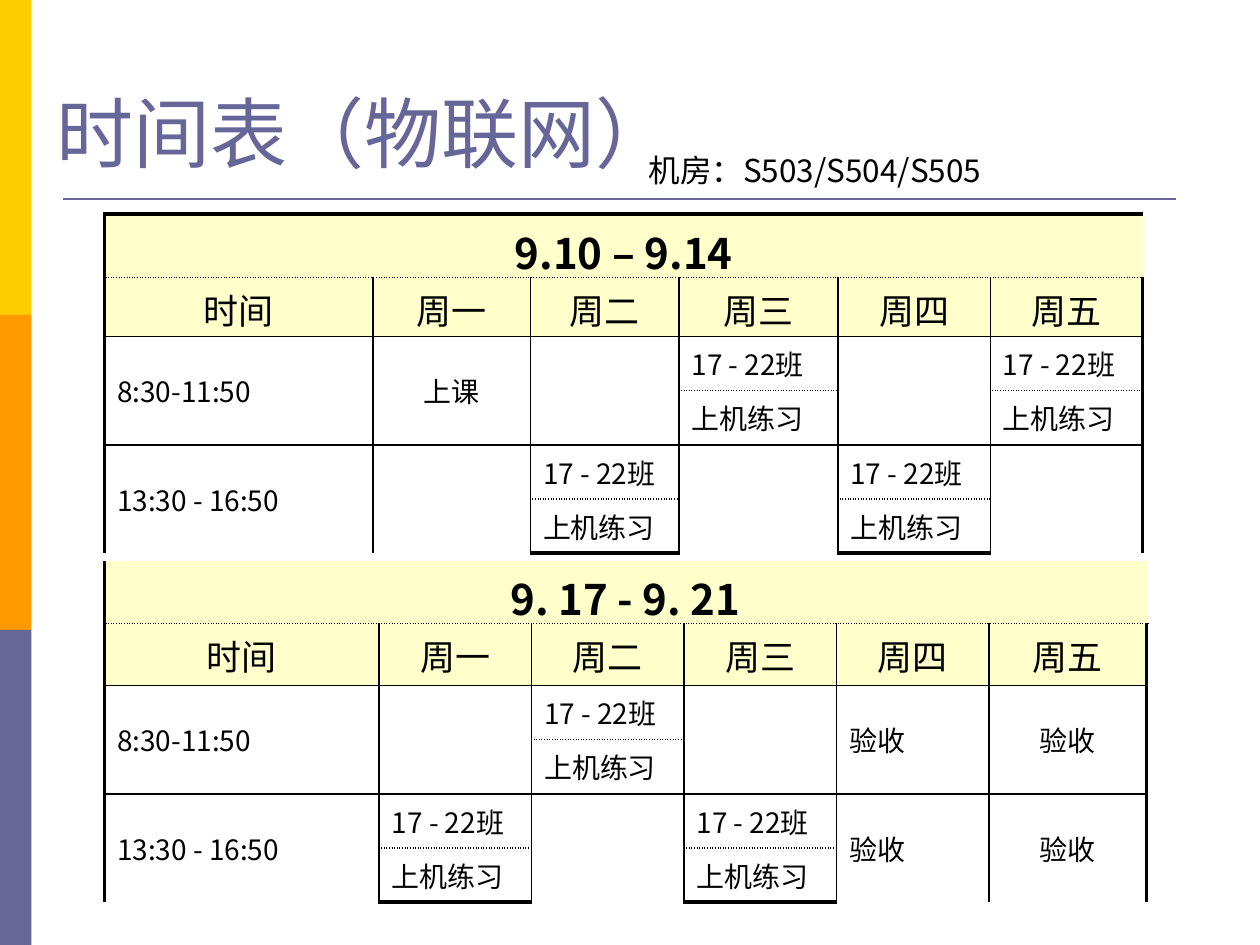
from lxml import etree
from pptx import Presentation, util as u
from pptx.dml.color import RGBColor
from pptx.enum import shapes, text
from pptx.oxml.ns import qn

FONT = "Noto Sans CJK SC"
COLORS = {"yellow": "FFCC00", "orange": "FF9900", "violet": "666699",
          "header": "FFFFCC", "ink": "000000", "paper": "FFFFFF"}
TITLE = "时间表（物联网）"
ROOM = "机房：S503/S504/S505"
HEADINGS = ["时间", "周一", "周二", "周三", "周四", "周五"]
LAB = ("17 - 22班", "上机练习")
CHECK = "验收"
CENTRED_DAYS = {1, 5}
WEEKS = [
    {"dates": "9.10 – 9.14", "top": 1.7, "top_border": True,
     "cols": [2.13, 1.25, 1.18, 1.26, 1.21, 1.21],
     "rows": [0.5, 0.47] + [0.43] * 4,
     "sessions": [["8:30-11:50", "上课", "", LAB, "", LAB],
                  ["13:30 - 16:50", "", LAB, "", LAB, ""]]},
    {"dates": "9. 17 - 9. 21", "top": 4.45, "top_border": False,
     "cols": [2.18, 1.21, 1.21, 1.21, 1.21, 1.25],
     "rows": [0.5, 0.49] + [0.43] * 4,
     "sessions": [["8:30-11:50", "", LAB, "", CHECK, CHECK],
                  ["13:30 - 16:50", LAB, "", LAB, CHECK, CHECK]]},
]
THIN, THICK, DOTTED, NONE = (1, "solid"), (2.25, "solid"), (1, "sysDot"), None


def rgb(name):
    return RGBColor.from_string(COLORS[name])


def add_run(paragraph, words, size, color="ink", bold=False):
    run = paragraph.add_run()
    run.text = words
    font = run.font
    font.name, font.size, font.bold = FONT, u.Pt(size), bold
    font.color.rgb = rgb(color)
    east_asian = etree.SubElement(run._r.get_or_add_rPr(), qn("a:ea"))
    east_asian.set("typeface", FONT)


def set_borders(cell, borders):
    """Draw the borders, given in the order left, right, top, bottom."""
    properties = cell._tc.get_or_add_tcPr()
    for side, border in zip("LRTB", borders):
        line = etree.SubElement(properties, qn(f"a:ln{side}"))
        if border is NONE:
            etree.SubElement(line, qn("a:noFill"))
            continue
        width, dash = border
        line.set("w", str(u.Pt(width)))
        fill = etree.SubElement(line, qn("a:solidFill"))
        etree.SubElement(fill, qn("a:srgbClr")).set("val", COLORS["ink"])
        etree.SubElement(line, qn("a:prstDash")).set("val", dash)


def write_cell(cell, words, size, centred=False, bold=False, middle=True):
    paragraph = cell.text_frame.paragraphs[0]
    paragraph.alignment = text.PP_ALIGN.CENTER if centred else text.PP_ALIGN.LEFT
    paragraph.space_before = u.Pt(size * 0.2)
    cell.vertical_anchor = text.MSO_ANCHOR.MIDDLE if middle else text.MSO_ANCHOR.TOP
    add_run(paragraph, words, size, bold=bold)


def frame_cells(table, week):
    """Thick outside, thin inside, dotted under the dates and within lab cells."""
    last_row, last_col = len(week["rows"]) - 1, len(week["cols"]) - 1

    def below(row, col):
        if row == last_row:
            return THICK
        if row == 0:
            return DOTTED
        if row == 1 or row % 2:
            return THIN
        return DOTTED if week["sessions"][row // 2 - 1][col] == LAB else NONE

    for row in range(last_row + 1):
        for col in range(last_col + 1):
            cell = table.cell(row, col)
            inner = NONE if row == 0 else THIN
            outer_top = THICK if week["top_border"] else NONE
            set_borders(cell, [THICK if col == 0 else inner,
                               THICK if col == last_col else inner,
                               below(row - 1, col) if row else outer_top,
                               below(row, col)])
            cell.fill.solid()
            cell.fill.fore_color.rgb = rgb("header" if row < 2 else "paper")


def add_week(slide, week):
    cols, rows = week["cols"], week["rows"]
    table = slide.shapes.add_table(
        len(rows), len(cols), u.Inches(0.83), u.Inches(week["top"]),
        u.Inches(sum(cols)), u.Inches(sum(rows))).table
    table.first_row = table.horz_banding = False
    for column, width in zip(table.columns, cols):
        column.width = u.Inches(width)
    for row, height in zip(table.rows, rows):
        row.height = u.Inches(height)
    frame_cells(table, week)

    table.cell(0, 0).merge(table.cell(0, len(cols) - 1))
    write_cell(table.cell(0, 0), week["dates"], 24, centred=True, bold=True, middle=False)
    for col, heading in enumerate(HEADINGS):
        write_cell(table.cell(1, col), heading, 20, centred=True, middle=False)
    for number, session in enumerate(week["sessions"]):
        first = 2 + 2 * number
        for col, entry in enumerate(session):
            upper, lower = table.cell(first, col), table.cell(first + 1, col)
            if entry == LAB:
                for cell, words in zip((upper, lower), LAB):
                    write_cell(cell, words, 16)
                continue
            upper.merge(lower)
            if entry:
                write_cell(upper, entry, 16, centred=col in CENTRED_DAYS)


def add_decoration(slide):
    for number, color in enumerate(["yellow", "orange", "violet"]):
        band = slide.shapes.add_shape(
            shapes.MSO_SHAPE.RECTANGLE, 0, u.Inches(2.5 * number),
            u.Inches(0.25), u.Inches(2.5))
        band.shadow.inherit = False
        band.fill.solid()
        band.fill.fore_color.rgb = rgb(color)
        band.line.fill.background()
    rule = slide.shapes.add_connector(
        shapes.MSO_CONNECTOR.STRAIGHT, u.Inches(0.5), u.Inches(1.58),
        u.Inches(9.33), u.Inches(1.58))
    rule.line.color.rgb = rgb("violet")
    rule.line.width = u.Pt(1.5)
    etree.SubElement(rule._element.spPr, qn("a:effectLst"))


def add_headline(slide):
    title = slide.shapes.title
    title.left, title.top = u.Inches(0.35), u.Inches(0.21)
    title.width, title.height = u.Inches(9), u.Inches(1.25)
    frame = title.text_frame
    frame.vertical_anchor = text.MSO_ANCHOR.BOTTOM
    frame.auto_size = text.MSO_AUTO_SIZE.NONE
    frame.paragraphs[0].alignment = text.PP_ALIGN.LEFT
    add_run(frame.paragraphs[0], TITLE, 44, "violet")

    room = slide.shapes.add_textbox(
        u.Inches(5.05), u.Inches(1.15), u.Inches(7.5), u.Inches(0.4)).text_frame
    room.word_wrap = True
    room.auto_size = text.MSO_AUTO_SIZE.SHAPE_TO_FIT_TEXT
    add_run(room.paragraphs[0], ROOM, 18)


def main():
    deck = Presentation()
    deck.slide_width, deck.slide_height = u.Inches(10), u.Inches(7.5)
    slide = deck.slides.add_slide(deck.slide_layouts[5])
    add_decoration(slide)
    add_headline(slide)
    for week in WEEKS:
        add_week(slide, week)
    deck.save("out.pptx")


if __name__ == "__main__":
    main()
